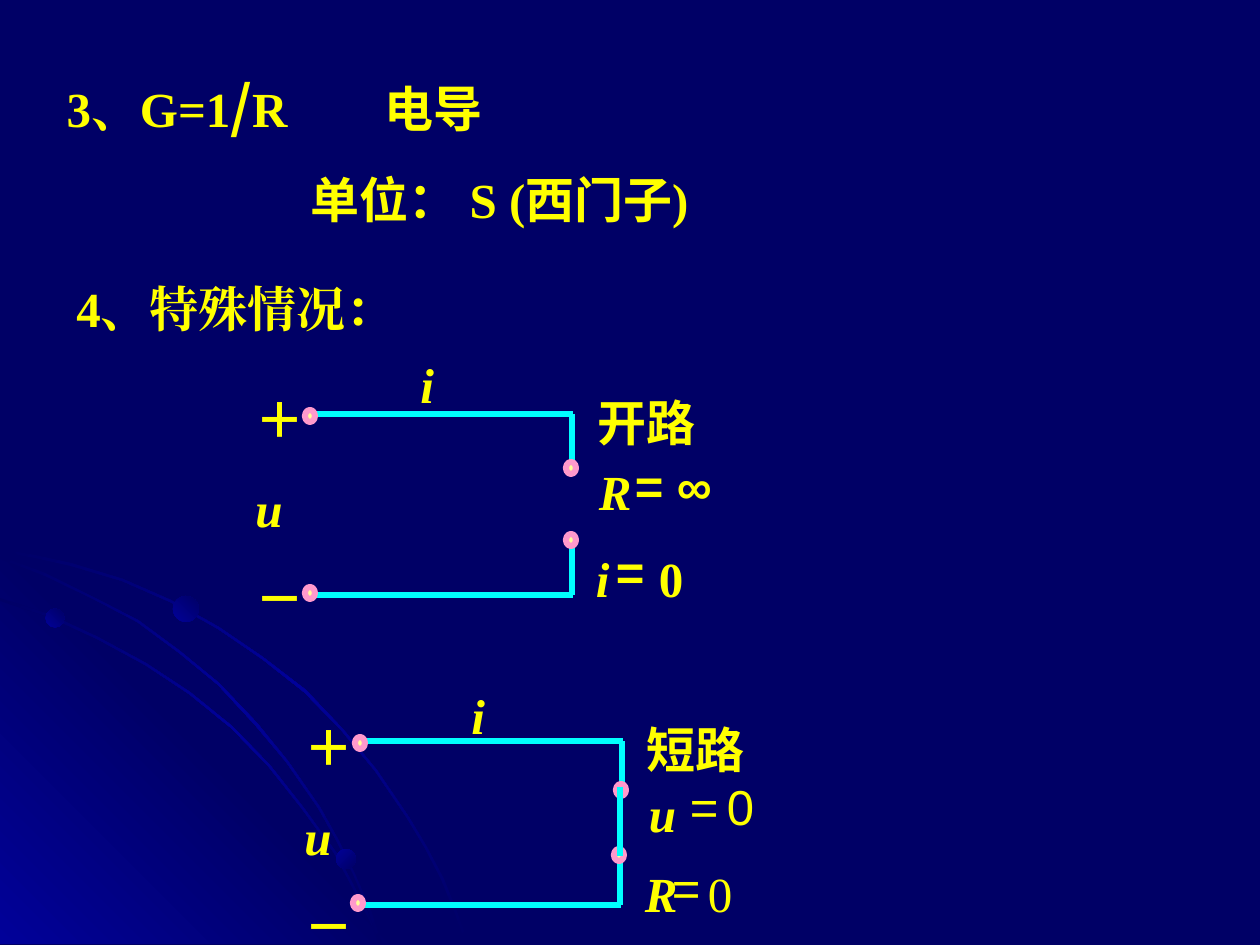
import dataclasses
import typing

import lxml.etree
import pptx
import pptx.dml.color
import pptx.enum.shapes
import pptx.enum.text
import pptx.oxml.ns
import pptx.util

EMU_PER_PX = 914400 / 126
NAVY, BLUE = "000066", "010199"
YELLOW, CYAN, PINK, CREAM = "FFFF00", "00FFFF", "FF99CC", "FFFF99"
SERIF, SANS, CHINESE, SLASH = "Times New Roman", "Arial", "Roboto", "Noto Sans CJK SC"
LINE_WIDTH = pptx.util.Pt(3.5)
PARAGRAPH_GAP = pptx.util.Pt(17.5)
Point = tuple[int, int]


@dataclasses.dataclass
class Piece:
    text: str
    font: str = SERIF
    bold: bool = True
    italic: bool = False
    size: int = 28


@dataclasses.dataclass
class Label:
    left: int
    top: int
    width: int
    height: int
    pieces: list[Piece]  # one paragraph each
    padded: bool = False


@dataclasses.dataclass
class Branch:
    """One half of a circuit: terminal, wire, corner, inner node."""
    left: int
    wire_y: int
    node_y: int


def px(length: float) -> int:
    return round(length * EMU_PER_PX)


def colour(value: str) -> pptx.dml.color.RGBColor:
    return pptx.dml.color.RGBColor.from_string(value)


def fill_gradient(shape: typing.Any, stops: list[str], angle: int) -> None:
    shape.shadow.inherit = False
    shape.line.fill.background()
    shape.fill.gradient()
    gradient = shape._element.spPr.find(pptx.oxml.ns.qn("a:gradFill"))
    stop_list = gradient.find(pptx.oxml.ns.qn("a:gsLst"))
    for stop in list(stop_list):
        stop_list.remove(stop)
    for index, value in enumerate(stops):
        stop = lxml.etree.SubElement(stop_list, pptx.oxml.ns.qn("a:gs"),
                                     pos=str(100000 * index // (len(stops) - 1)))
        lxml.etree.SubElement(stop, pptx.oxml.ns.qn("a:srgbClr"), val=value)
    gradient.find(pptx.oxml.ns.qn("a:lin")).set("ang", str(angle * 60000))


def draw_outline(page: typing.Any, points: list[Point], stops: list[str], angle: int) -> None:
    builder = page.shapes.build_freeform(*points[0], scale=EMU_PER_PX)
    builder.add_line_segments(points[1:], close=True)
    fill_gradient(builder.convert_to_shape(), stops, angle)


def draw_arc(page: typing.Any, inner: list[Point]) -> None:
    """A ribbon whose 3 px thickness turns from vertical to horizontal."""
    last = len(inner) - 1
    outer = [(x + round(3 * i / last), y - round(3 * (last - i) / last))
             for i, (x, y) in enumerate(inner)]
    draw_outline(page, inner + outer[::-1], [NAVY, BLUE, NAVY], 45)


def draw_ellipse(page: typing.Any, x: int, y: int, width: int, height: int) -> typing.Any:
    shape = page.shapes.add_shape(pptx.enum.shapes.MSO_SHAPE.OVAL, px(x - width / 2),
                                  px(y - height / 2), px(width), px(height))
    shape.shadow.inherit = False
    return shape


def draw_node(page: typing.Any, x: int, y: int) -> None:
    node = draw_ellipse(page, x, y, 10, 12)
    node.fill.solid()
    node.fill.fore_color.rgb = colour(CREAM)
    node.line.color.rgb = colour(PINK)
    node.line.width = LINE_WIDTH


def draw_wire(page: typing.Any, start: Point, end: Point) -> None:
    wire = page.shapes.add_connector(pptx.enum.shapes.MSO_CONNECTOR.STRAIGHT,
                                     *map(px, start + end))
    wire.line.color.rgb = colour(CYAN)
    wire.line.width = LINE_WIDTH
    lxml.etree.SubElement(wire._element.spPr, pptx.oxml.ns.qn("a:effectLst"))


def draw_branch(page: typing.Any, branch: Branch) -> None:
    inward = 1 if branch.node_y > branch.wire_y else -1
    corner = branch.left + 262
    draw_wire(page, (branch.left + 5, branch.wire_y), (corner + 1, branch.wire_y))
    draw_wire(page, (corner, branch.wire_y), (corner, branch.node_y - 3 * inward))
    draw_node(page, branch.left, branch.wire_y + 2 * inward)
    draw_node(page, corner - 1, branch.node_y)


def format_run(span: typing.Any, piece: Piece) -> None:
    font = span.font
    font.name, font.size = piece.font, pptx.util.Pt(piece.size)
    font.bold, font.italic = piece.bold, piece.italic
    font.color.rgb = colour(YELLOW)
    east_asian = lxml.etree.SubElement(span._r.get_or_add_rPr(), pptx.oxml.ns.qn("a:ea"))
    east_asian.set("typeface", piece.font)


def set_frame(frame: typing.Any, padded: bool) -> None:
    frame.word_wrap = True
    frame.auto_size = pptx.enum.text.MSO_AUTO_SIZE.NONE
    frame.vertical_anchor = pptx.enum.text.MSO_ANCHOR.TOP
    frame.margin_left = frame.margin_right = pptx.util.Inches(0.1 if padded else 0)
    frame.margin_top = frame.margin_bottom = pptx.util.Inches(0.05 if padded else 0)


def draw_label(page: typing.Any, label: Label) -> None:
    box = page.shapes.add_textbox(px(label.left), px(label.top), px(label.width), px(label.height))
    set_frame(box.text_frame, label.padded)
    box.text_frame.text = "\n".join(piece.text for piece in label.pieces)
    for index, (para, piece) in enumerate(zip(box.text_frame.paragraphs, label.pieces)):
        if index:
            para.space_before = PARAGRAPH_GAP
        format_run(para.runs[0], piece)


def fill_title(title: typing.Any) -> None:
    title.left, title.top, title.width, title.height = map(px, (54, 65, 943, 228))
    frame = title.text_frame
    set_frame(frame, True)
    lines = [
        [Piece("3、G=1"), Piece("/", SLASH, size=32), Piece("R\t"), Piece("电导", CHINESE)],
        [Piece("单位： ", CHINESE), Piece("S ("), Piece("西门子", CHINESE), Piece(")")],
    ]
    for index, line in enumerate(lines):
        para = frame.add_paragraph() if index else frame.paragraphs[0]
        para.alignment = pptx.enum.text.PP_ALIGN.LEFT
        para.space_before = PARAGRAPH_GAP if index else 0
        properties = para._p.get_or_add_pPr()
        if index:
            properties.set("marL", str(px(244)))
        else:
            tabs = lxml.etree.SubElement(properties, pptx.oxml.ns.qn("a:tabLst"))
            lxml.etree.SubElement(tabs, pptx.oxml.ns.qn("a:tab"), pos=str(px(318)), algn="l")
        for piece in line:
            span = para.add_run()
            span.text = piece.text
            format_run(span, piece)


OUTER_ARC = [(0, 552), (35, 558), (71, 566), (122, 581), (170, 602), (218, 629), (262, 659),
             (304, 692), (341, 730), (375, 771), (407, 818), (425, 848), (441, 879), (454, 911),
             (466, 944)]
MIDDLE_ARC = [(0, 559), (45, 576), (93, 599), (137, 622), (179, 653), (218, 685), (255, 725),
              (286, 762), (318, 808), (336, 840), (353, 874), (368, 910), (379, 944)]
INNER_ARC = [(0, 601), (49, 617), (97, 639), (145, 665), (189, 694), (231, 728), (268, 766),
             (302, 809), (334, 853), (359, 900), (370, 922), (379, 944)]
BEADS = [(55, 618, 19, 315), (346, 859, 20, 45), (186, 609, 26, 315)]  # x, y, size, angle

BRANCHES = [Branch(310, 414, 468), Branch(310, 595, 540),
            Branch(360, 741, 790), Branch(358, 905, 855)]
VOLTAGE = [Piece("＋", CHINESE), Piece("u", italic=True), Piece("－", CHINESE)]
CURRENT = [Piece("i", italic=True)]
RESISTANCE = [Piece("R", italic=True)]
LABELS = [
    Label(64, 272, 943, 72, [Piece("4、特殊情况：")], True),
    # open circuit
    Label(243, 383, 62, 251, VOLTAGE, True),
    Label(408, 348, 72, 72, CURRENT, True),
    Label(585, 386, 125, 72, [Piece("开路", CHINESE)], True),
    Label(599, 461, 29, 59, RESISTANCE),
    Label(635, 455, 39, 59, [Piece("=", SANS)]),
    Label(677, 455, 37, 59, [Piece("∞", SANS)]),
    Label(596, 548, 14, 59, CURRENT),
    Label(616, 541, 39, 59, [Piece("=", SANS)]),
    Label(659, 548, 24, 59, [Piece("0")]),
    # short circuit
    Label(292, 711, 62, 251, VOLTAGE, True),
    Label(459, 679, 72, 72, CURRENT, True),
    Label(634, 713, 124, 72, [Piece("短路", CHINESE)], True),
    Label(649, 784, 26, 59, [Piece("u", italic=True)]),
    Label(690, 777, 26, 59, [Piece("=", SANS, bold=False)]),
    Label(727, 777, 24, 59, [Piece("0", SANS, bold=False)]),
    Label(645, 863, 29, 59, RESISTANCE),
    Label(672, 857, 26, 59, [Piece("=", SANS, bold=False)]),
    Label(708, 863, 24, 59, [Piece("0", bold=False)]),
]


def main() -> None:
    deck = pptx.Presentation()
    deck.slide_width, deck.slide_height = px(1260), px(945)
    page = deck.slides.add_slide(deck.slide_layouts[5])
    page.background.fill.solid()
    page.background.fill.fore_color.rgb = colour(NAVY)
    fill_title(page.shapes.title)

    # corner decoration
    draw_arc(page, OUTER_ARC)
    draw_outline(page, [(406, 944), (0, 944), (0, 538)], [BLUE, NAVY, BLUE], 315)
    draw_arc(page, INNER_ARC)
    draw_arc(page, MIDDLE_ARC)
    for x, y, size, angle in BEADS:
        fill_gradient(draw_ellipse(page, x, y, size, size), [BLUE, NAVY], angle)

    # circuits, with the link that closes the short one
    for branch in BRANCHES:
        draw_branch(page, branch)
    draw_wire(page, (620, 787), (620, 856))
    for label in LABELS:
        draw_label(page, label)
    deck.save("out.pptx")


if __name__ == "__main__":
    main()
